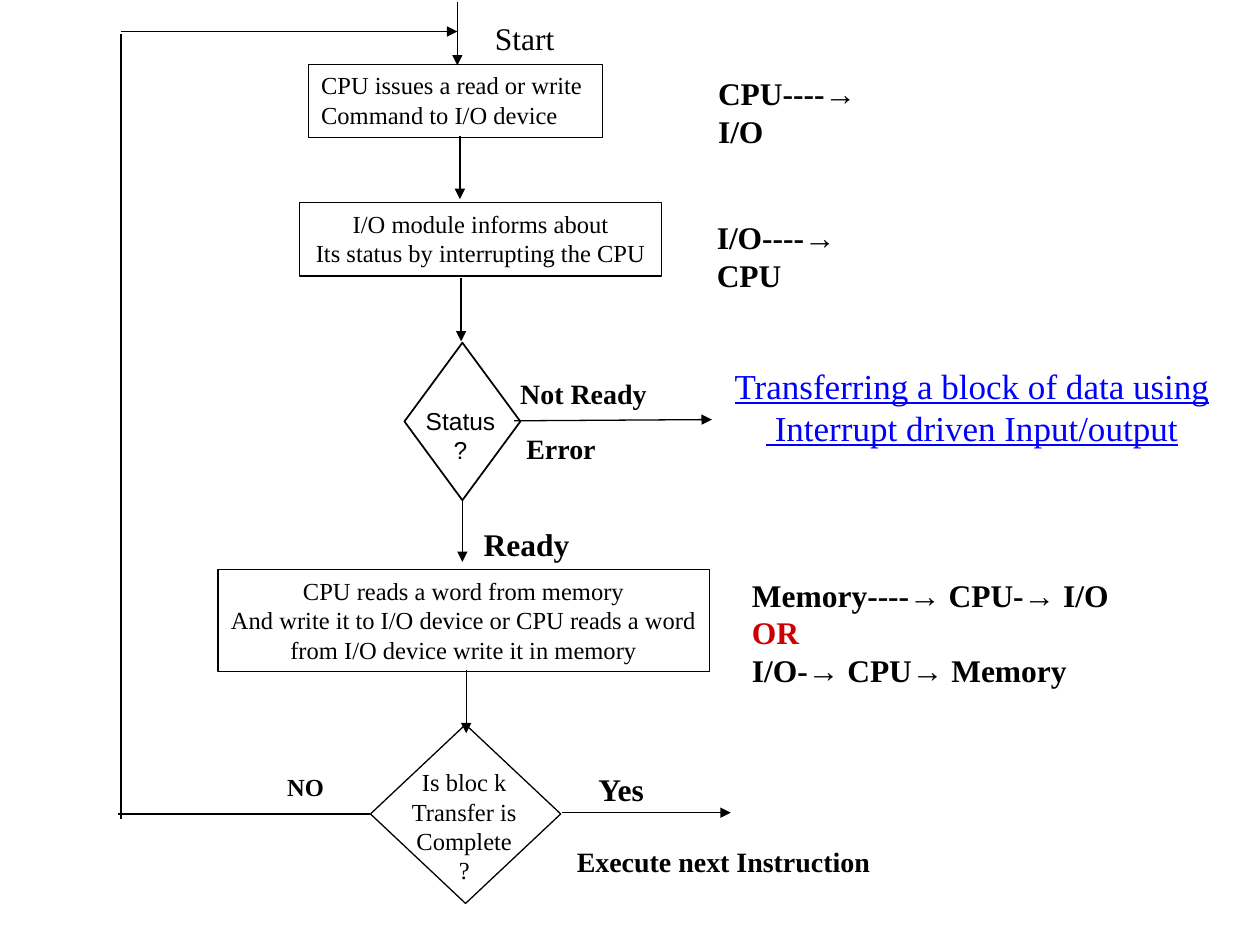
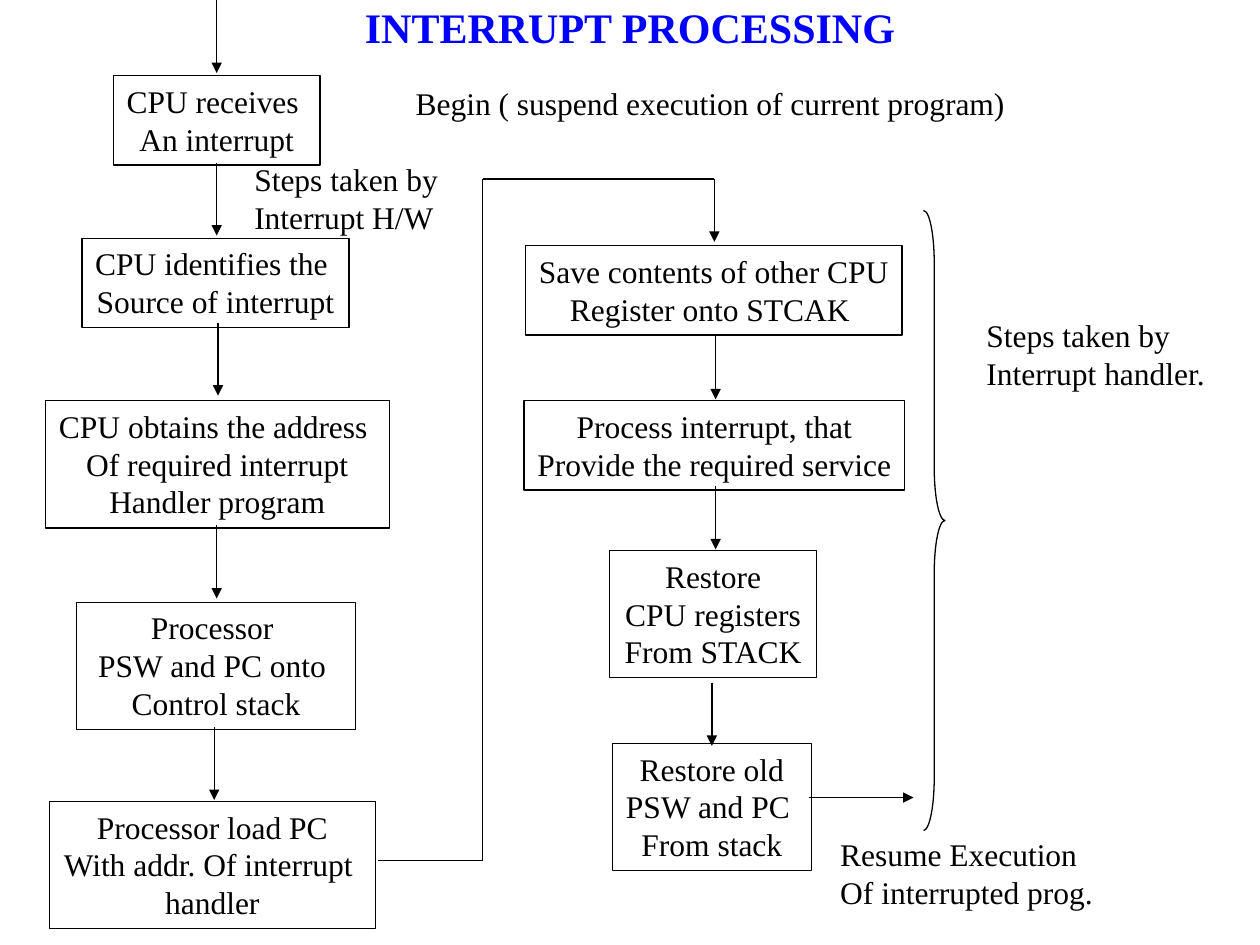
"""Builds two flowchart slides on interrupt driven input/output."""
from lxml.etree import SubElement
from pptx import Presentation
from pptx.dml.color import RGBColor
from pptx.enum.shapes import MSO_CONNECTOR, MSO_SHAPE
from pptx.enum.text import MSO_ANCHOR, MSO_AUTO_SIZE, PP_ALIGN
from pptx.oxml.ns import qn
from pptx.util import Inches, Pt

COLORS = {"ink": "000000", "title": "0000FF", "alert": "CC0000"}
SERIF, SANS = "Times New Roman", "Arial"
LEFT, CENTER = PP_ALIGN.LEFT, PP_ALIGN.CENTER
LINE_WIDTH = 0.75

TRANSFER_BOXES = [
    ((2.45, 0.51, 2.33, 0.58), ["CPU issues a read or write", "Command to I/O device"], LEFT),
    ((2.38, 1.61, 2.87, 0.58),
     ["I/O module informs about", "Its status by interrupting the CPU"], CENTER),
    ((1.73, 4.52, 3.9, 0.81),
     ["CPU reads a word from memory", "And write it to I/O device or CPU reads a word",
      "from I/O device write it in memory"], CENTER),
]
TRANSFER_DIAMONDS = [((3.21, 2.72, 0.92, 1.25), 1), ((2.94, 5.75, 1.51, 1.42), LINE_WIDTH)]
TRANSFER_LABELS = [
    ((3.28, 3.17, 0.75, 0.57), ["Status", "?"], dict(size=14, font=SANS, align=CENTER)),
    ((2.27, 6.04, 2.83, 1.03), ["Is bloc k", "Transfer is", "Complete", "?"],
     dict(size=14, align=CENTER, wrap=True)),
    ((2, 6.08, 0.85, 0.33), ["NO"], dict(size=14, bold=True, align=CENTER, wrap=True)),
    ((4.65, 6.06, 0.59, 0.4), ["Yes"], dict(bold=True)),
    ((4.48, 6.65, 2.54, 0.37), ["Execute next Instruction"], dict(size=16, bold=True)),
    ((5.6, 0.54, 1.72, 0.4), ["CPU----→ \vI/O"], dict(bold=True, wrap=True)),
    ((5.59, 1.68, 1.72, 0.4), ["I/O----→ \vCPU"], dict(bold=True, wrap=True)),
    ((5.87, 4.52, 3.46, 0.7),
     [[("Memory----→ CPU-→ I/O \v", "ink"), ("OR", "alert")], "I/O-→ CPU→ Memory"],
     dict(bold=True, wrap=True)),
    ((5.73, 2.84, 3.97, 0.77),
     ["Transferring a block of data using", " Interrupt driven Input/output"],
     dict(size=20, color="title", underline=True, align=CENTER)),
    ((3.83, 0.1, 0.67, 0.4), ["Start"], {}),
    ((3.74, 4.12, 0.88, 0.4), ["Ready"], dict(bold=True)),
    ((4.03, 2.94, 1.21, 0.37), ["Not Ready"], dict(size=16, bold=True)),
    ((4.08, 3.38, 0.76, 0.37), ["Error"], dict(size=16, bold=True)),
]
TRANSFER_DROP = 0.5
TRANSFER_DROPS = [(3.63, 0.02), (3.65, 1.08), (3.66, 2.21), (3.67, 3.96), (3.7, 5.32)]
TRANSFER_ARROWS = [(4.46, 6.45, 5.8, 6.45), (0.96, 0.25, 3.63, 0.25), (4.08, 3.34, 5.65, 3.33)]
TRANSFER_LINES = [(0.96, 0.27, 0.96, 6.5), (2.94, 6.46, 0.94, 6.46)]

TITLE = "INTERRUPT PROCESSING"
INTERRUPT_BOXES = [
    ((0.9, 0.6, 1.64, 0.71), ["CPU receives ", "An interrupt"]),
    ((0.65, 1.89, 2.12, 0.71), ["CPU identifies the ", "Source of interrupt"]),
    ((0.36, 3.18, 2.73, 1.01),
     ["CPU obtains the address ", "Of required interrupt", "Handler program"]),
    ((0.61, 4.78, 2.21, 1.01), ["Processor ", "PSW and PC onto ", "Control stack"]),
    ((0.39, 6.36, 2.59, 1.01), ["Processor load PC", "With addr. Of interrupt ", "handler"]),
    ((4.17, 1.95, 2.99, 0.71), ["Save contents of other CPU", "Register onto STCAK "]),
    ((4.16, 3.18, 3.02, 0.71), ["Process interrupt, that", "Provide the required service"]),
    ((4.84, 4.37, 1.64, 1.01), ["Restore", "CPU registers", "From STACK"]),
    ((4.86, 5.9, 1.58, 1.01), ["Restore old", "PSW and PC ", "From stack"]),
]
INTERRUPT_LABELS = [
    ((3.2, 0.62, 4.88, 0.4), ["Begin ( suspend execution of current program)"]),
    ((6.57, 6.58, 2.21, 0.7), ["Resume Execution", "Of interrupted prog."]),
    ((7.73, 2.46, 1.95, 0.7), ["Steps taken by", "Interrupt handler."]),
    ((1.92, 1.22, 1.66, 0.7), ["Steps taken by", "Interrupt H/W"]),
]
HARDWARE_DROP, HANDLER_DROP = 0.58, 0.5
HARDWARE_DROPS = [(1.72, 0), (1.72, 1.29), (1.73, 2.56), (1.72, 4.17), (1.7, 5.77)]
HANDLER_DROPS = [(5.67, 1.42), (5.68, 2.67), (5.68, 3.86), (5.65, 5.42)]
HANDLER_ROUTE = [(3, 6.83), (3.83, 6.83), (3.83, 1.42), (5.67, 1.42)]
RESUME_ARROW = (6.42, 6.33, 7.25, 6.33)
HANDLER_BRACE = (7.33, 1.67, 0.17, 4.92)


def rgb(name):
    return RGBColor.from_string(COLORS[name])


def write(tf, paragraphs, size=18, font=SERIF, color="ink", bold=False,
          underline=False, align=LEFT, wrap=False, anchor=MSO_ANCHOR.TOP):
    tf.word_wrap = wrap
    tf.auto_size = MSO_AUTO_SIZE.NONE
    tf.vertical_anchor = anchor
    for i, runs in enumerate(paragraphs):
        p = tf.add_paragraph() if i else tf.paragraphs[0]
        p.alignment = align
        for text, tint in [(runs, color)] if isinstance(runs, str) else runs:
            for j, part in enumerate(text.split("\v")):
                if j:
                    p.add_line_break()
                if part:
                    r = p.add_run()
                    r.text = part
                    r.font.name, r.font.size = font, Pt(size)
                    r.font.bold, r.font.underline = bold, underline
                    r.font.color.rgb = rgb(tint)


def add_outline(s, kind, place, width=LINE_WIDTH):
    sp = s.shapes.add_shape(kind, *map(Inches, place))
    sp.shadow.inherit = False
    sp.fill.background()
    sp.line.color.rgb = rgb("ink")
    sp.line.width = Pt(width)
    return sp


def add_box(s, place, paragraphs, **style):
    write(add_outline(s, MSO_SHAPE.RECTANGLE, place).text_frame, paragraphs, **style)


def add_label(s, place, paragraphs, **style):
    write(s.shapes.add_textbox(*map(Inches, place)).text_frame, paragraphs, **style)


def add_line(s, ends, arrow=False):
    cx = s.shapes.add_connector(MSO_CONNECTOR.STRAIGHT, *map(Inches, ends))
    cx.line.color.rgb = rgb("ink")
    cx.line.width = Pt(LINE_WIDTH)
    if arrow:
        SubElement(cx.line._get_or_add_ln(), qn("a:tailEnd"), type="triangle")
    SubElement(cx._element.spPr, qn("a:effectLst"))


def add_drops(s, starts, length):
    for x, y in starts:
        add_line(s, (x, y, x, y + length), arrow=True)


def build_transfer(prs):
    s = prs.slides.add_slide(prs.slide_layouts[6])
    for place, paragraphs, align in TRANSFER_BOXES:
        add_box(s, place, paragraphs, size=14, align=align)
    for place, width in TRANSFER_DIAMONDS:
        add_outline(s, MSO_SHAPE.DIAMOND, place, width)
    add_drops(s, TRANSFER_DROPS, TRANSFER_DROP)
    for ends in TRANSFER_ARROWS:
        add_line(s, ends, arrow=True)
    for ends in TRANSFER_LINES:
        add_line(s, ends)
    for place, paragraphs, style in TRANSFER_LABELS:
        add_label(s, place, paragraphs, **style)


def build_interrupt(prs):
    s = prs.slides.add_slide(prs.slide_layouts[5])
    title = s.shapes.title
    title.left, title.top, title.width, title.height = map(Inches, (0.5, -0.05, 9, 0.53))
    write(title.text_frame, [TITLE], size=24, color="title", bold=True,
          align=CENTER, wrap=True, anchor=MSO_ANCHOR.MIDDLE)
    for place, paragraphs in INTERRUPT_BOXES:
        add_box(s, place, paragraphs, align=CENTER)
    for place, paragraphs in INTERRUPT_LABELS:
        add_label(s, place, paragraphs)
    add_drops(s, HARDWARE_DROPS, HARDWARE_DROP)
    add_drops(s, HANDLER_DROPS, HANDLER_DROP)
    for start, end in zip(HANDLER_ROUTE, HANDLER_ROUTE[1:]):
        add_line(s, start + end)
    add_line(s, RESUME_ARROW, arrow=True)
    brace = add_outline(s, MSO_SHAPE.RIGHT_BRACE, HANDLER_BRACE)
    brace.adjustments[0] = 2.46


def main():
    prs = Presentation()
    prs.slide_width, prs.slide_height = Inches(10), Inches(7.5)
    build_transfer(prs)
    build_interrupt(prs)
    prs.save("out.pptx")


if __name__ == "__main__":
    main()
